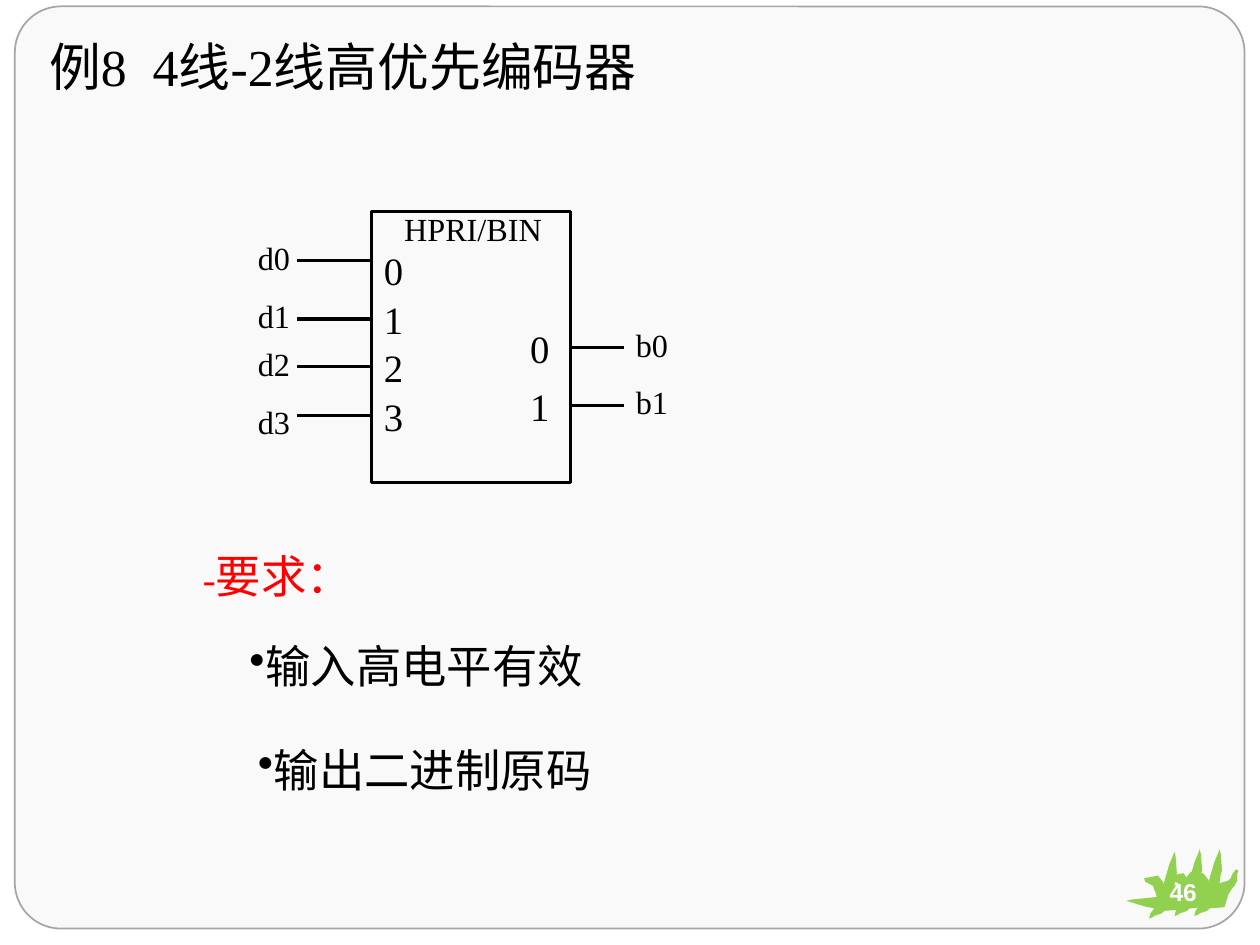
from lxml import etree
from pptx import Presentation
from pptx.dml.color import RGBColor
from pptx.enum.shapes import MSO_CONNECTOR, MSO_SHAPE
from pptx.enum.text import MSO_ANCHOR, MSO_AUTO_SIZE, PP_ALIGN
from pptx.oxml.ns import qn
from pptx.util import Cm, Pt

STRAIGHT = MSO_CONNECTOR.STRAIGHT
RECTANGLE = MSO_SHAPE.RECTANGLE
ROUNDED = MSO_SHAPE.ROUNDED_RECTANGLE
OVAL = MSO_SHAPE.OVAL
FIT = MSO_AUTO_SIZE.SHAPE_TO_FIT_TEXT
MIDDLE = MSO_ANCHOR.MIDDLE
CENTER = PP_ALIGN.CENTER

BLACK, WHITE, RED, GREEN = "000000", "FFFFFF", "FF0000", "92D050"
SERIF, SANS = "Times New Roman", "Arial"
LABEL_SIZE, PIN_SIZE, BODY_SIZE, TITLE_SIZE = 18.4, 22.1, 25.9, 29.6

BLOCK_LEFT, BLOCK_TOP, BLOCK_WIDTH, BLOCK_HEIGHT = 7.49, 4.27, 4.01, 5.46
BLOCK_RIGHT = BLOCK_LEFT + BLOCK_WIDTH
INPUT_START, OUTPUT_END = 5.99, 12.57

INPUTS = [
    ("0", 5.26, 4.85, 4.67),
    ("1", 6.43, 5.84, 5.84),
    ("2", 7.39, 6.81, 6.81),
    ("3", 8.38, 7.8, 7.98),
]
OUTPUTS = [("0", 7.01, 6.43, 6.43), ("1", 8.18, 7.59, 7.59)]

LEAF_CORNERS = [(23.62, 17.12), (23.22, 17.12), (22.71, 17.17)]
LEAF_POINTS = [
    (18, 53), (21, 52), (22, 51), (28, 49), (30, 47), (42, 46), (45, 36),
    (48, 31), (50, 29), (52, 25), (52, 20), (53, 17), (51, 16), (48, 20),
    (47, 23), (45, 25), (38, 27), (39, 20), (40, 17), (39, 4), (38, 0),
    (37, 3), (34, 10), (32, 17), (31, 20), (30, 24), (29, 27), (29, 24),
    (25, 19), (20, 20), (14, 21), (15, 24), (19, 26), (21, 27), (22, 30),
    (23, 32), (24, 36), (4, 38), (0, 39), (13, 43), (17, 44), (22, 45),
    (19, 49),
]


def color(value):
    return RGBColor.from_string(value)


def paint(shape, fill=None, line=None, weight=1.75):
    shape.shadow.inherit = False
    if fill:
        shape.fill.solid()
        shape.fill.fore_color.rgb = color(fill)
    else:
        shape.fill.background()
    if line:
        shape.line.color.rgb = color(line)
        shape.line.width = Pt(weight)
    else:
        shape.line.fill.background()


def add_panel(slide, kind, left, top, width, height, **style):
    panel = slide.shapes.add_shape(kind, Cm(left), Cm(top), Cm(width), Cm(height))
    paint(panel, **style)
    return panel


def add_run(paragraph, text, size=LABEL_SIZE, font=SERIF, ink=BLACK, bold=False):
    run = paragraph.add_run()
    run.text = text
    run.font.size = Pt(size)
    run.font.name = font
    run.font.bold = bold
    run.font.color.rgb = color(ink)


def add_text(slide, text, left, top, width, height, wrap=False, bullet=None, **style):
    box = slide.shapes.add_textbox(Cm(left), Cm(top), Cm(width), Cm(height))
    frame = box.text_frame
    frame.word_wrap = wrap
    frame.auto_size = FIT
    paragraph = frame.paragraphs[0]
    add_run(paragraph, text, **style)
    if bullet:
        properties = paragraph._p.get_or_add_pPr()
        etree.SubElement(properties, qn("a:buChar")).set("char", bullet)
    return paragraph


def add_wire(slide, start, end, y):
    wire = slide.shapes.add_connector(STRAIGHT, Cm(start), Cm(y), Cm(end), Cm(y))
    wire.line.color.rgb = color(BLACK)
    wire.line.width = Pt(1.75)
    etree.SubElement(wire._element.spPr, qn("a:effectLst"))


def add_pins(slide, pins, prefix, wire_span, label_left, number_left):
    for number, wire_y, number_top, label_top in pins:
        add_wire(slide, *wire_span, wire_y)
        add_text(slide, number, number_left, number_top, 0.94, 1.19, size=PIN_SIZE)
        add_text(slide, prefix + number, label_left, label_top, 1.17, 1.04)


def add_encoder(slide):
    add_panel(slide, RECTANGLE, BLOCK_LEFT, BLOCK_TOP, BLOCK_WIDTH, BLOCK_HEIGHT,
              line=BLACK)
    add_text(slide, "HPRI/BIN", 7.9, 4.09, 3.33, 1.04)
    add_pins(slide, INPUTS, "d", (INPUT_START, BLOCK_LEFT), 4.95, BLOCK_LEFT)
    add_pins(slide, OUTPUTS, "b", (BLOCK_RIGHT, OUTPUT_END), OUTPUT_END, 10.44)


def add_leaf(slide, left, top):
    builder = slide.shapes.build_freeform(*LEAF_POINTS[0], scale=Cm(2.54) / 100)
    builder.add_line_segments(LEAF_POINTS[1:], close=True)
    paint(builder.convert_to_shape(Cm(left), Cm(top)), fill=GREEN)


def add_page_badge(slide, number):
    for left, top in LEAF_CORNERS:
        add_leaf(slide, left, top)
    badge = add_panel(slide, OVAL, 23.22, 17.53, 1.27, 0.91)
    frame = badge.text_frame
    frame.margin_left = frame.margin_right = frame.margin_top = frame.margin_bottom = 0
    frame.vertical_anchor = MIDDLE
    frame.paragraphs[0].alignment = CENTER
    add_run(frame.paragraphs[0], number, size=14, font=SANS, ink=WHITE, bold=True)


def add_requirements(slide):
    heading = add_text(slide, "-", 3.84, 10.92, 7.39, 1.37, wrap=True,
                       size=PIN_SIZE, ink=RED)
    add_run(heading, "要求：", size=BODY_SIZE, ink=RED)
    for text, left, top in [("输入高电平有效", 4.78, 12.75),
                            ("输出二进制原码", 4.95, 14.83)]:
        add_text(slide, text, left, top, 7.29, 1.37, bullet="•", size=BODY_SIZE)


def main():
    deck = Presentation()
    deck.slide_width, deck.slide_height = Cm(25.4), Cm(19.05)
    slide = deck.slides.add_slide(deck.slide_layouts[6])
    card = add_panel(slide, ROUNDED, 0.3, 0.13, 24.79, 18.59,
                     fill="F9F9F9", line="A6A6A6", weight=1)
    card.adjustments[0] = 0.05
    add_text(slide, "例8  4线-2线高优先编码器", 0.74, 0.58, 12.42, 1.52,
             wrap=True, size=TITLE_SIZE)
    add_encoder(slide)
    add_requirements(slide)
    add_page_badge(slide, "46")
    deck.save("out.pptx")


if __name__ == "__main__":
    main()
